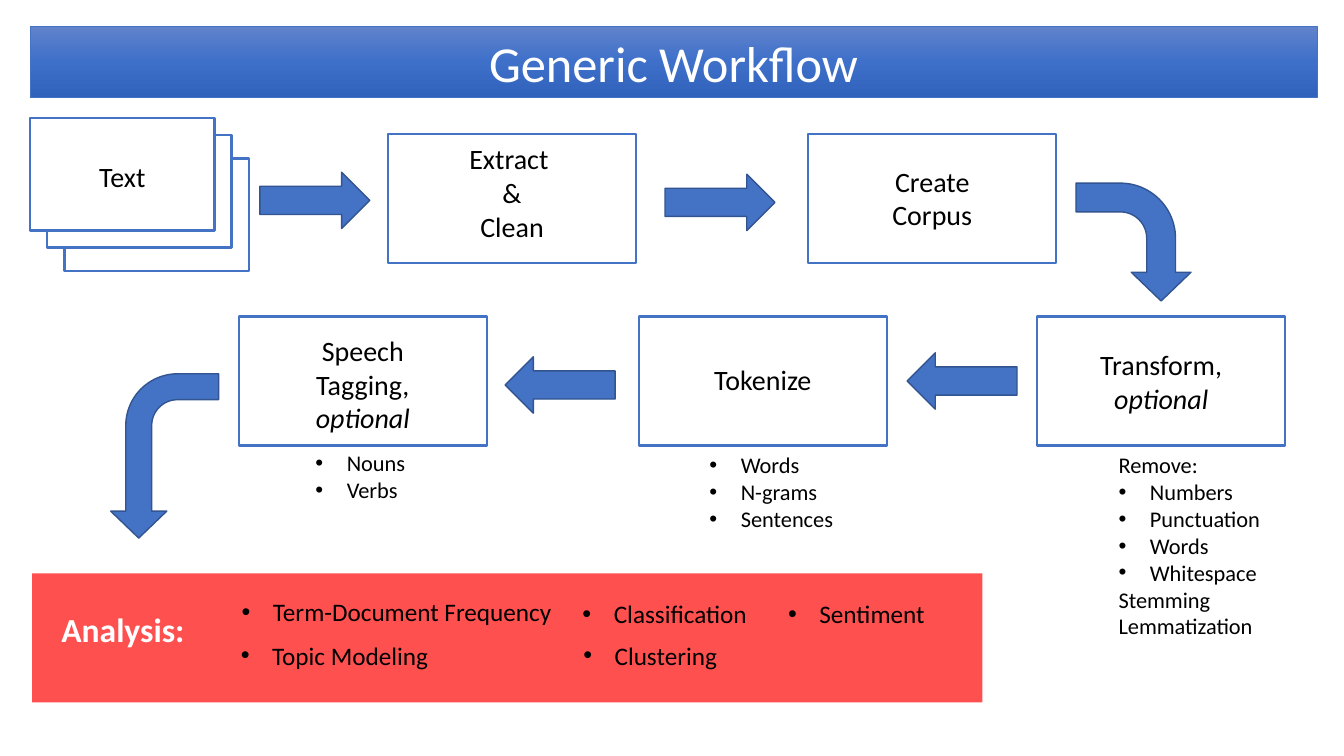
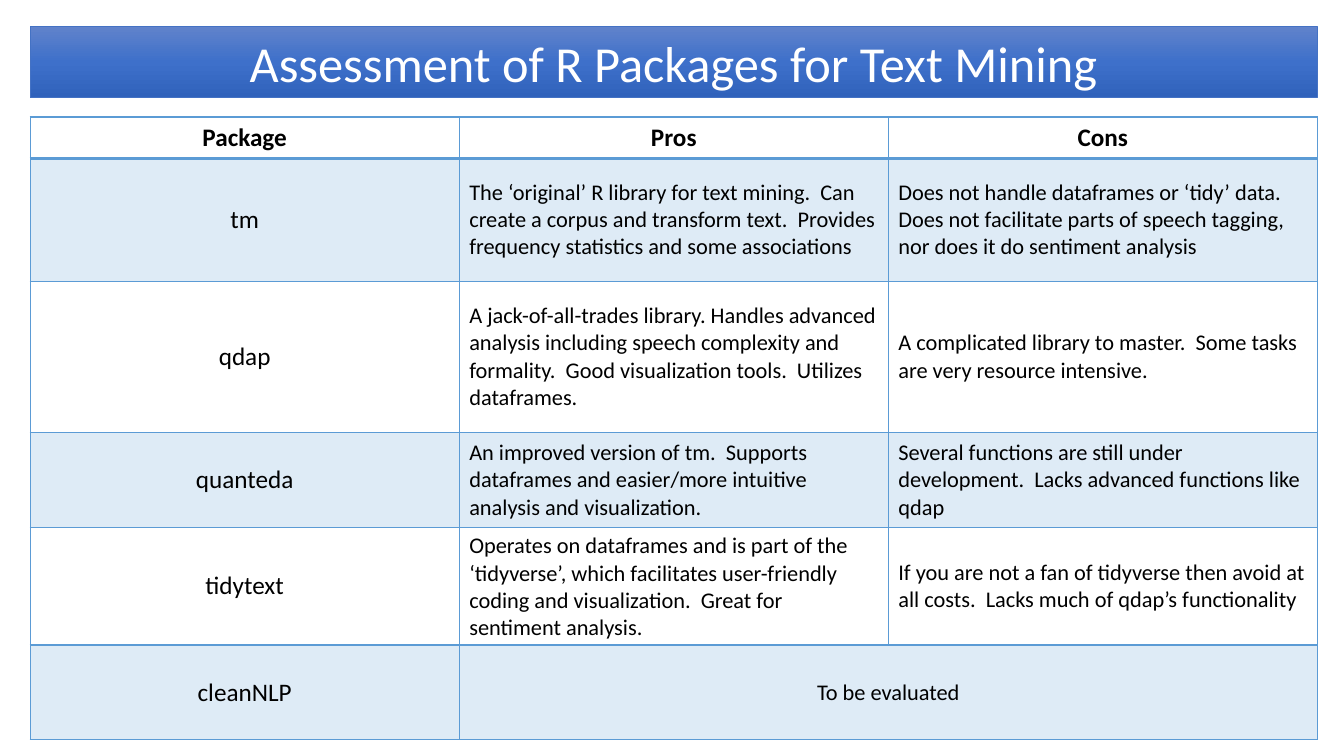
"""Two slides on text mining: a workflow diagram and a package comparison."""
from copy import deepcopy

from lxml import etree
from pptx import Presentation
from pptx import util as u
from pptx.dml import color
from pptx.enum import shapes, text
from pptx.oxml import ns

BLUE, EDGE, SKY, RED = "4472C4", "325491", "5B9BD5", "FF5050"
WHITE, BLACK = "FFFFFF", "000000"
BAND_STOPS = ((0, "6183CB"), (0.5, "3E70CA"), (1, "3062BB"))
FONT = "Calibri"
MARGIN, CONTENT_WIDTH = 0.76, 32.44
STEP_WIDTH, STEP_HEIGHT = 6.25, 3.25
SHEET_WIDTH, SHEET_HEIGHT = 4.65, 2.84
KIND = shapes.MSO_SHAPE
ALIGN = text.PP_ALIGN


def rgb(value):
    """Turn a hex string into a colour."""
    return color.RGBColor.from_string(value)


def child(parent, tag, **attributes):
    """Append a drawing element to its parent."""
    return etree.SubElement(parent, ns.qn(tag), attributes)


def lengths(*values):
    """Turn centimetres into slide lengths."""
    return [u.Cm(value) for value in values]


class Painter:
    """Holds the shared style and the current slide."""

    def __init__(self):
        """Start an empty widescreen deck."""
        self.deck = Presentation()
        self.deck.slide_width, self.deck.slide_height = lengths(33.87, 19.05)
        self.page = None

    def new_page(self, title):
        """Add a blank slide with its title band."""
        self.page = self.deck.slides.add_slide(self.deck.slide_layouts[6])
        band = self.shape(KIND.RECTANGLE, MARGIN, 0.66, CONTENT_WIDTH, 1.8, BLUE, BLUE, 0.5)
        band.fill.gradient()
        band.fill.gradient_angle = 270
        stop_list = band.element.spPr.find(".//" + ns.qn("a:gsLst"))
        stop_list.insert(1, deepcopy(stop_list[0]))
        for stop, (position, value) in zip(band.fill.gradient_stops, BAND_STOPS):
            stop.position = position
            stop.color.rgb = rgb(value)
        self.set_text(band.text_frame, title, 36, WHITE, ALIGN.CENTER)

    def set_text(self, frame, content, size, ink=BLACK, align=ALIGN.LEFT, bold=False):
        """Fill a text frame and format its runs."""
        frame.text = content
        for para in frame.paragraphs:
            para.alignment = align
            for span in para.runs:
                span.font.name, span.font.size = FONT, u.Pt(size)
                span.font.color.rgb = rgb(ink)
                span.font.bold = bold
                if span.text == "optional":
                    span.font.italic = True

    def shape(self, kind, left, top, width, height, fill=WHITE, line=BLUE, weight=1.75):
        """Draw a preset shape, without outline if line is None."""
        box = self.page.shapes.add_shape(kind, *lengths(left, top, width, height))
        box.shadow.inherit = False
        box.fill.solid()
        box.fill.fore_color.rgb = rgb(fill)
        if line:
            box.line.color.rgb = rgb(line)
            box.line.width = u.Pt(weight)
        else:
            box.line.fill.background()
        return box

    def arrow(self, kind, left, top, width, height, turn=0, flip=False, adjust=()):
        """Draw a block arrow, turned clockwise."""
        arrow = self.shape(kind, left, top, width, height, BLUE, EDGE, 1)
        arrow.rotation = turn
        if flip:
            arrow.element.spPr.get_or_add_xfrm().set("flipV", "1")
        for index, value in enumerate(adjust):
            arrow.adjustments[index] = value

    def label(self, left, top, width, content, size, bullets=slice(0), **style):
        """Place unwrapped text; the slice says which lines get bullets."""
        height = 0.25 + len(content.split("\n")) * size * 0.0423
        box = self.page.shapes.add_textbox(*lengths(left, top, width, height))
        frame = box.text_frame
        self.set_text(frame, content, size, **style)
        frame.word_wrap = False
        frame.auto_size = text.MSO_AUTO_SIZE.SHAPE_TO_FIT_TEXT
        for para in frame.paragraphs[bullets]:
            indent = u.Cm(0.79)
            props = para._p.get_or_add_pPr()
            props.set("marL", str(indent))
            props.set("indent", str(-indent))
            child(props, "a:buFont", typeface="Arial")
            child(props, "a:buChar", char="•")

    def step(self, left, top, content, label_top, label_width,
             width=STEP_WIDTH, height=STEP_HEIGHT):
        """Draw a workflow box with its label centred across it."""
        self.shape(KIND.RECTANGLE, left, top, width, height)
        self.label(left + (width - label_width) / 2, label_top, label_width,
                   content, 20, align=ALIGN.CENTER)

    def cell_style(self, cell, row, shaded):
        """Set fill and borders; the rule below the header is thicker."""
        props = cell._tc.get_or_add_tcPr()
        if shaded:
            cell.fill.solid()
            cell.fill.fore_color.rgb = rgb(SKY)
            child(props.find(".//" + ns.qn("a:srgbClr")), "a:alpha", val="20000")
        else:
            cell.fill.background()
        thick = {(0, "B"), (1, "T")}
        for index, side in enumerate("LRTB"):
            weight = u.Pt(2 if (row, side) in thick else 1)
            border = child(props, "a:ln" + side, w=str(weight))
            child(child(border, "a:solidFill"), "a:srgbClr", val=SKY)
            props.insert(index, border)

    def table(self, top, heights, rows):
        """Draw a table; a short last row spans the remaining columns."""
        count = len(rows[0])
        frame = self.page.shapes.add_table(
            len(rows), count, *lengths(MARGIN, top, CONTENT_WIDTH, sum(heights)))
        grid = frame.table
        grid.first_row = grid.horz_banding = False
        for column in grid.columns:
            column.width = u.Cm(CONTENT_WIDTH / count)
        for row, (height, values) in enumerate(zip(heights, rows)):
            grid.rows[row].height = u.Cm(height)
            spans = len(values) < count
            for column in range(count):
                self.cell_style(grid.cell(row, column), row, row % 2 == 1)
            if spans:
                grid.cell(row, len(values) - 1).merge(grid.cell(row, count - 1))
            for column, value in enumerate(values):
                cell = grid.cell(row, column)
                head = row == 0
                named = head or column == 0
                self.set_text(cell.text_frame, value, 18 if named else 16,
                              align=ALIGN.CENTER if named or spans else ALIGN.LEFT, bold=head)
                if not head:
                    cell.vertical_anchor = text.MSO_ANCHOR.MIDDLE


def workflow(painter):
    """Build the workflow diagram."""
    painter.new_page("Generic Workflow")
    for left, top in ((1.63, 3.99), (1.19, 3.4)):
        painter.shape(KIND.RECTANGLE, left, top, SHEET_WIDTH, SHEET_HEIGHT)
    painter.step(MARGIN, 2.97, "Text", 3.89, 1.7, SHEET_WIDTH, SHEET_HEIGHT)

    upper, lower = 3.38, 7.98
    for step in (
        (9.78, upper, "Extract \n&\nClean", 3.45, 2.69),
        (20.37, upper, "Create\nCorpus", 4.01, 2.54),
        (26.14, lower, "Transform,\noptional", 8.64, 3.61),
        (16.1, lower, "Tokenize", 9.02, 3),
        (6.02, lower, "Speech\nTagging,\noptional", 8.28, 2.9),
    ):
        painter.step(*step)

    for left, top, turn in ((6.55, 4.34, 0), (16.76, 4.39, 0),
                            (22.86, 8.89, 180), (12.73, 8.99, 180)):
        painter.arrow(KIND.RIGHT_ARROW, left, top, 2.77, 1.42, turn)
    painter.arrow(KIND.BENT_ARROW, 27.08, 4.65, 2.97, 2.9, 90,
                  adjust=(0.25, 0.26, 0.25, 0.48))
    painter.arrow(KIND.BENT_ARROW, 2.08, 10.13, 4.14, 2.72, 90, flip=True,
                  adjust=(0.24, 0.26, 0.25, 0.48))

    every = slice(None)
    painter.label(27.94, 11.25, 4.11, "Remove:\nNumbers\nPunctuation\nWords\nWhitespace\n"
                  "Stemming\nLemmatization", 16, slice(1, 5))
    painter.label(17.63, 11.25, 3.68, "Words\nN-grams\nSentences", 16, every)
    painter.label(7.7, 11.2, 2.79, "Nouns\nVerbs", 16, every)

    painter.shape(KIND.RECTANGLE, 0.81, 14.45, 23.95, STEP_HEIGHT, RED, None)
    painter.label(1.27, 15.21, 3.66, "Analysis:", 24, ink=WHITE, align=ALIGN.CENTER, bold=True)
    for left, top, width, topic in (
        (5.84, 14.91, 8.41, "Term-Document Frequency"),
        (5.82, 16, 5.28, "Topic Modeling"),
        (14.43, 14.96, 4.7, "Classification"),
        (14.45, 16, 3.91, "Clustering"),
        (19.61, 14.96, 4.01, "Sentiment"),
    ):
        painter.label(left, top, width, topic, 18, every)


def assessment(painter):
    """Build the package comparison."""
    painter.new_page("Assessment of R Packages for Text Mining")
    painter.table(2.95, (1.04, 3.1, 3.81, 2.39, 2.57, 2.39), (
        ("Package", "Pros", "Cons"),
        ("tm",
         "The ‘original’ R library for text mining.  Can create a corpus and transform text.  "
         "Provides frequency statistics and some associations",
         "Does not handle dataframes or ‘tidy’ data.  Does not facilitate parts of speech "
         "tagging, nor does it do sentiment analysis"),
        ("qdap",
         "A jack-of-all-trades library. Handles advanced analysis including speech complexity "
         "and formality.  Good visualization tools.  Utilizes dataframes.",
         "A complicated library to master.  Some tasks are very resource intensive."),
        ("quanteda",
         "An improved version of tm.  Supports dataframes and easier/more intuitive analysis "
         "and visualization.",
         "Several functions are still under development.  Lacks advanced functions like qdap"),
        ("tidytext",
         "Operates on dataframes and is part of the ‘tidyverse’, which facilitates "
         "user-friendly coding and visualization.  Great for sentiment analysis.",
         "If you are not a fan of tidyverse then avoid at all costs.  Lacks much of qdap’s "
         "functionality"),
        ("cleanNLP", "To be evaluated"),
    ))


painter = Painter()
workflow(painter)
assessment(painter)
painter.deck.save("out.pptx")
